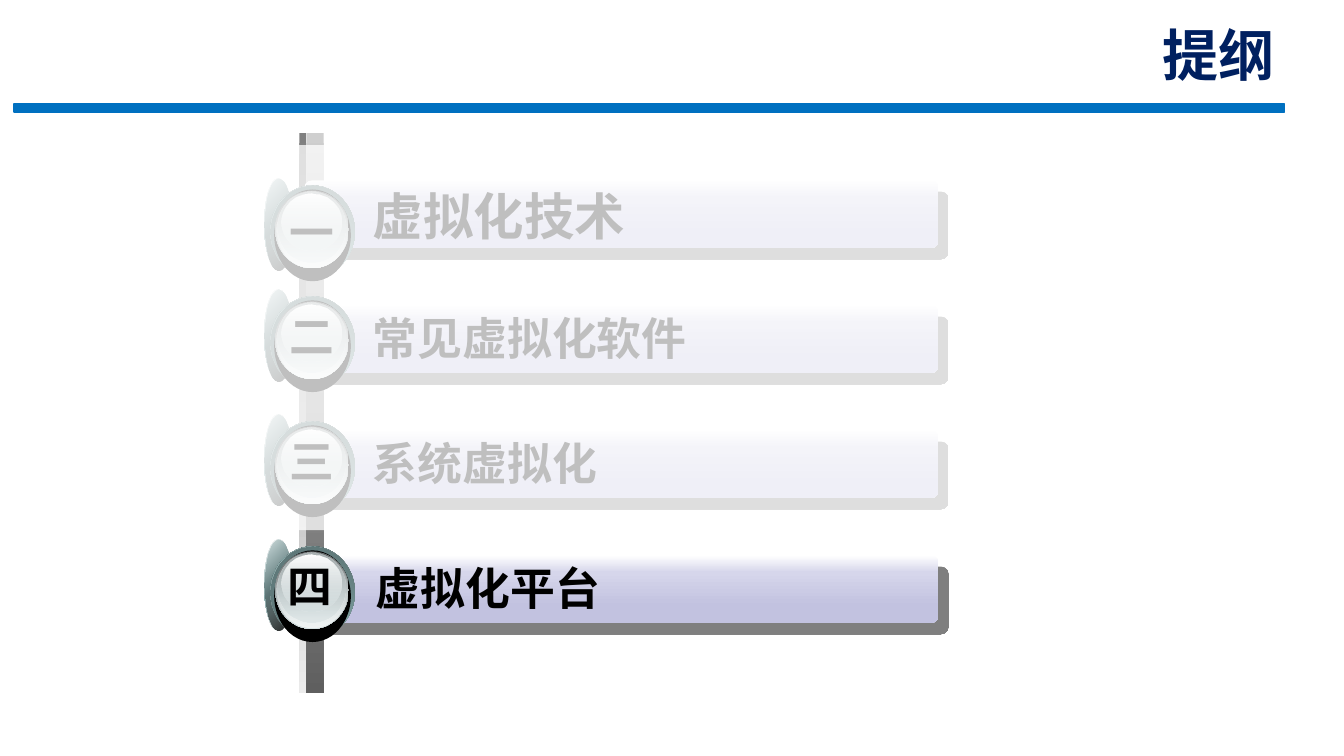
from lxml import etree
from pptx import Presentation
from pptx import util as u
from pptx.dml.color import RGBColor
from pptx.enum import shapes, text
from pptx.oxml import ns

WHITE = RGBColor(0xFF, 0xFF, 0xFF)
BLACK = RGBColor(0x00, 0x00, 0x00)
NAVY = RGBColor(0x00, 0x20, 0x60)
BLUE = RGBColor(0x00, 0x70, 0xC0)
GRAY = RGBColor(0x80, 0x80, 0x80)
PALE_GRAY = RGBColor(0xEC, 0xEC, 0xEC)
LIGHT_GRAY = RGBColor(0xCF, 0xCF, 0xCF)
DARK_GRAY = RGBColor(0x5F, 0x5F, 0x5F)
LILAC = RGBColor(0xD6, 0xD6, 0xEB)
LAVENDER = RGBColor(0xC2, 0xC2, 0xE0)
TEAL = RGBColor(0x83, 0xA6, 0xA7)
DEEP_TEAL = RGBColor(0x47, 0x5A, 0x5A)
MID_TEAL = RGBColor(0x53, 0x69, 0x6A)
SLATE = RGBColor(0x63, 0x68, 0x69)
SILVER = RGBColor(0xAA, 0xB2, 0xB3)
MIST = RGBColor(0xD6, 0xE1, 0xE2)
FROST = RGBColor(0xF1, 0xF5, 0xF5)

TITLE_FONT = "Roboto"
ITEM_FONT = "Noto Sans CJK SC"
RECT = shapes.MSO_SHAPE.RECTANGLE
OVAL = shapes.MSO_SHAPE.OVAL
ROUNDED = shapes.MSO_SHAPE.ROUNDED_RECTANGLE

BAR_STOPS = [(0, WHITE, 100), (25, LILAC, 100), (75, LAVENDER, 100)]
BADGE_LAYERS = [
    (0, 0, 0.28, 0.91, 45, [(0, WHITE, 100), (50, TEAL, 100), (100, WHITE, 100)]),
    (0, 0, 0.28, 0.91, 45, [(0, TEAL, 32), (100, BLACK, 90)]),
    (0.06, 0.07, 0.84, 0.91, 315,
     [(0, DEEP_TEAL, 100), (50, TEAL, 100), (100, DEEP_TEAL, 100)]),
    (0.06, 0.07, 0.84, 0.91, 45, [(0, MID_TEAL, 100), (100, TEAL, 0)]),
    (0.1, 0.11, 0.76, 0.91, 0, None),
    (0.11, 0.12, 0.73, 0.77, 90, [(0, SLATE, 100), (100, MIST, 100)]),
    (0.12, 0.13, 0.71, 0.75, 90, [(0, MIST, 0), (100, FROST, 100)]),
    (0.13, 0.13, 0.68, 0.7, 90, [(0, SILVER, 100), (100, MIST, 48)]),
    (0.17, 0.15, 0.6, 0.57, 90, [(0, WHITE, 100), (100, MIST, 38)]),
]


def add_node(parent, tag, **attributes):
    """Append a DrawingML element and return it."""
    node = etree.SubElement(parent, ns.qn(tag))
    for name, value in attributes.items():
        node.set(name, str(value))
    return node


def add_color(parent, color, opacity):
    """Append a colour with an opacity in percent."""
    node = add_node(parent, "a:srgbClr", val=color)
    if opacity < 100:
        add_node(node, "a:alpha", val=opacity * 1000)


def add_solid(canvas, kind, box, color):
    """Add a borderless shape with a plain fill."""
    shape = canvas.add_shape(kind, *map(u.Inches, box))
    shape.shadow.inherit = False
    shape.fill.solid()
    shape.fill.fore_color.rgb = color
    shape.line.fill.background()
    return shape


def add_gradient(canvas, kind, box, angle, stops):
    """Add a borderless shape with a linear gradient."""
    shape = add_solid(canvas, kind, box, WHITE)
    solid = shape.fill._xPr.find(ns.qn("a:solidFill"))
    gradient = etree.Element(ns.qn("a:gradFill"), rotWithShape="0")
    stop_list = add_node(gradient, "a:gsLst")
    for position, color, opacity in stops:
        add_color(add_node(stop_list, "a:gs", pos=position * 1000), color, opacity)
    add_node(gradient, "a:lin", ang=angle * 60000, scaled=0)
    solid.getparent().replace(solid, gradient)
    return shape


def add_label(canvas, box, words, size, font, color, wrap=True):
    """Add one bold line of text and return its box."""
    label = canvas.add_textbox(*map(u.Inches, box))
    label.text_frame.word_wrap = wrap
    para = label.text_frame.paragraphs[0]
    para.text = words
    para.font.size = u.Pt(size)
    para.font.bold = True
    para.font.name = font
    para.font.color.rgb = color
    add_node(para._p.pPr.find(ns.qn("a:defRPr")), "a:ea", typeface=font)
    return label


def add_header(page, left, top, width):
    """Place the slide title above its blue rule."""
    rule = add_solid(page.shapes, RECT, (left, top + 0.69, width, 0.08), BLUE)
    rule.line.color.rgb = BLUE
    rule.line.width = u.Pt(1)
    title = add_label(page.shapes, (left + width / 2 - 0.03, top, width / 2 + 0.03, 0.58),
                      "提纲", 40, TITLE_FONT, NAVY)
    title.text_frame.vertical_anchor = text.MSO_ANCHOR.BOTTOM
    title.text_frame.paragraphs[0].alignment = text.PP_ALIGN.RIGHT


def add_rail(page, left, top, length):
    """Place the two-tone vertical rail behind the badges."""
    canvas = page.shapes.add_group_shape().shapes
    strips = [(0, 0.07, GRAY, PALE_GRAY), (0.07, 0.17, LIGHT_GRAY, DARK_GRAY)]
    for offset, width, start, end in strips:
        box = (left + offset + (width - length) / 2, top + (length - width) / 2, length, width)
        strip = add_gradient(canvas, RECT, box, 90, [(0, start, 100), (100, end, 100)])
        strip.rotation = 270


def add_badge(canvas, left, top, number, number_left, number_drop):
    """Place the layered round badge and its number."""
    for dx, dy, width, height, angle, stops in BADGE_LAYERS:
        box = (left + dx, top + dy, width, height)
        if stops:
            add_gradient(canvas, OVAL, box, angle, stops)
        else:
            add_solid(canvas, OVAL, box, BLACK)
    label = add_label(canvas, (left + number_left, top + number_drop, 0.63, 0.64),
                      number, 32, ITEM_FONT, BLACK, wrap=False)
    label.text_frame.auto_size = text.MSO_AUTO_SIZE.SHAPE_TO_FIT_TEXT


def add_item(page, left, top, number, title, size=32, bar_left=0.4, title_left=0.98,
             badge_rise=0.16, number_left=0.15, number_drop=0.14):
    """Place one outline item: shadowed bar, title and badge."""
    canvas = page.shapes.add_group_shape().shapes
    bar = add_gradient(canvas, ROUNDED, (left + bar_left, top, 6.69 - bar_left, 0.67),
                       90, BAR_STOPS)
    bar.adjustments[0] = 0.11
    effects = bar._element.spPr.find(ns.qn("a:effectLst"))
    shadow = add_node(effects, "a:outerShdw", blurRad=0, dist=u.Pt(10.6),
                      dir=49 * 60000, algn="ctr", rotWithShape=0)
    add_color(shadow, BLACK, 50)
    label = add_label(canvas, (left + title_left, top, 5.17, 0.64),
                      title, size, ITEM_FONT, BLACK)
    label.text_frame.auto_size = text.MSO_AUTO_SIZE.SHAPE_TO_FIT_TEXT
    add_badge(canvas, left, top - badge_rise, number, number_left, number_drop)


def add_outline(page, left, top, pitch):
    """Place the outline items at an equal pitch."""
    items = [
        ("一", "虚拟化技术", {"size": 36, "badge_rise": 0.02, "number_drop": 0.21}),
        ("二", "常见虚拟化软件", {}),
        ("三", "系统虚拟化", {}),
        ("四", "虚拟化平台", {"bar_left": 0.31, "title_left": 1.01, "number_left": 0.13}),
    ]
    for row, (number, title, layout) in enumerate(items):
        add_item(page, left, top + row * pitch, number, title, **layout)


def add_veil(page, box):
    """Fade the inactive items with a translucent white sheet."""
    veil = add_solid(page.shapes, RECT, box, WHITE)
    color = veil.fill._xPr.find(ns.qn("a:solidFill"))[0]
    add_node(color, "a:alpha", val=75000)


def main():
    """Build the outline slide and save it."""
    deck = Presentation()
    deck.slide_width, deck.slide_height = u.Inches(13.33), u.Inches(7.5)
    page = deck.slides.add_slide(deck.slide_layouts[6])
    add_header(page, 0.14, 0.34, 12.6)
    add_rail(page, 2.97, 1.32, 5.55)
    add_outline(page, 2.62, 1.79, 1.24)
    add_veil(page, (1.33, 1.44, 9.06, 3.82))
    deck.save("out.pptx")


if __name__ == "__main__":
    main()
